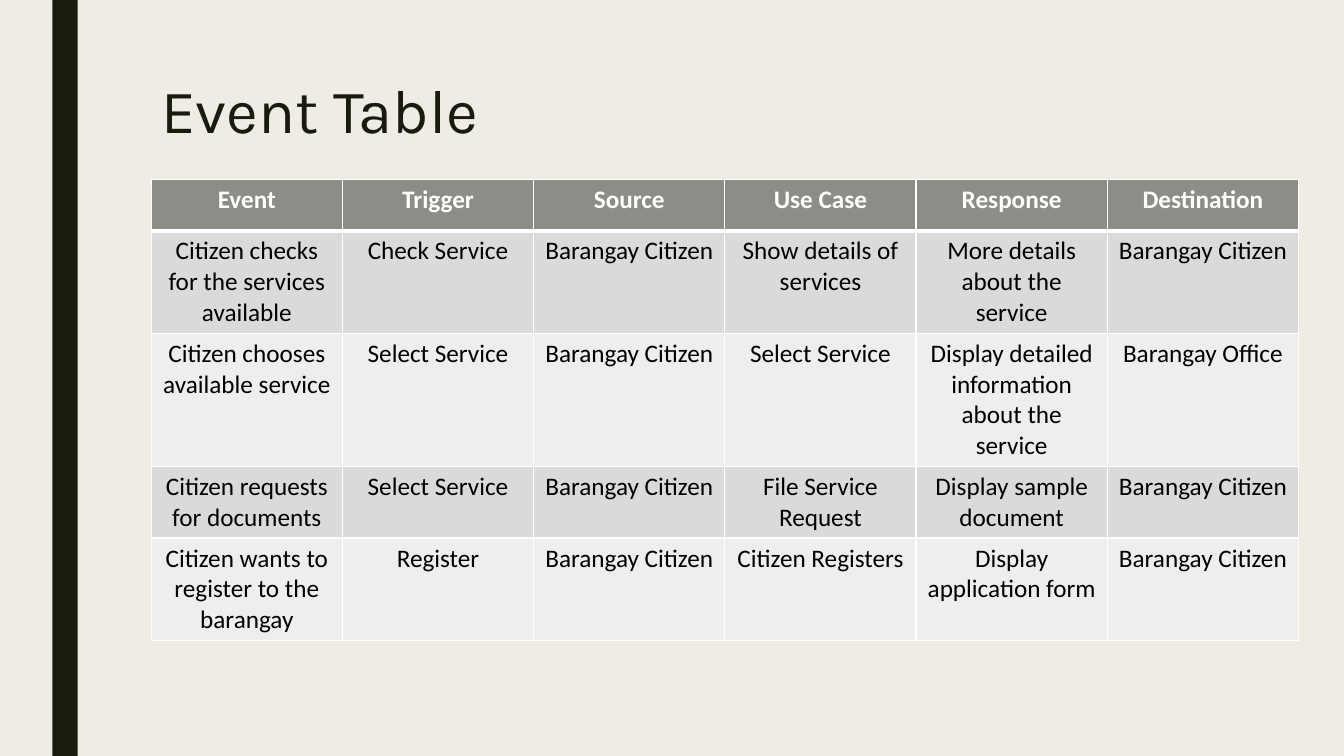
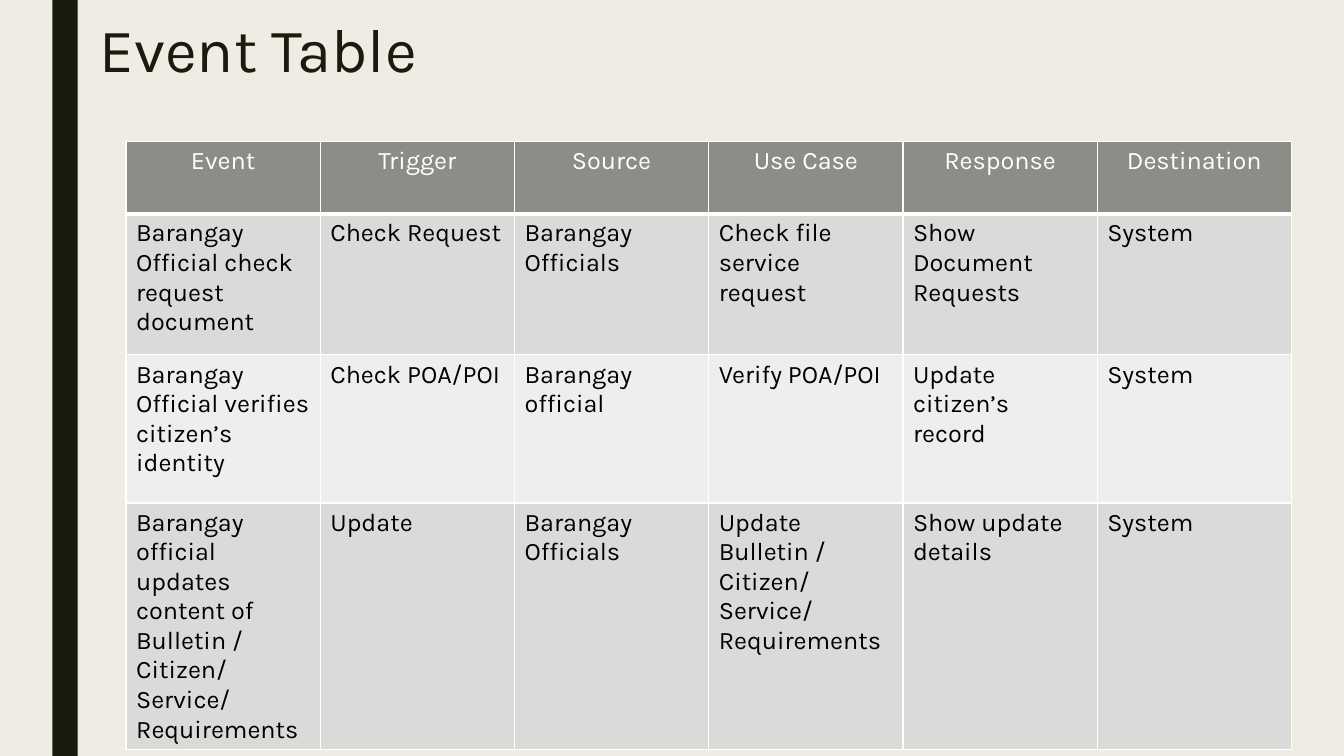
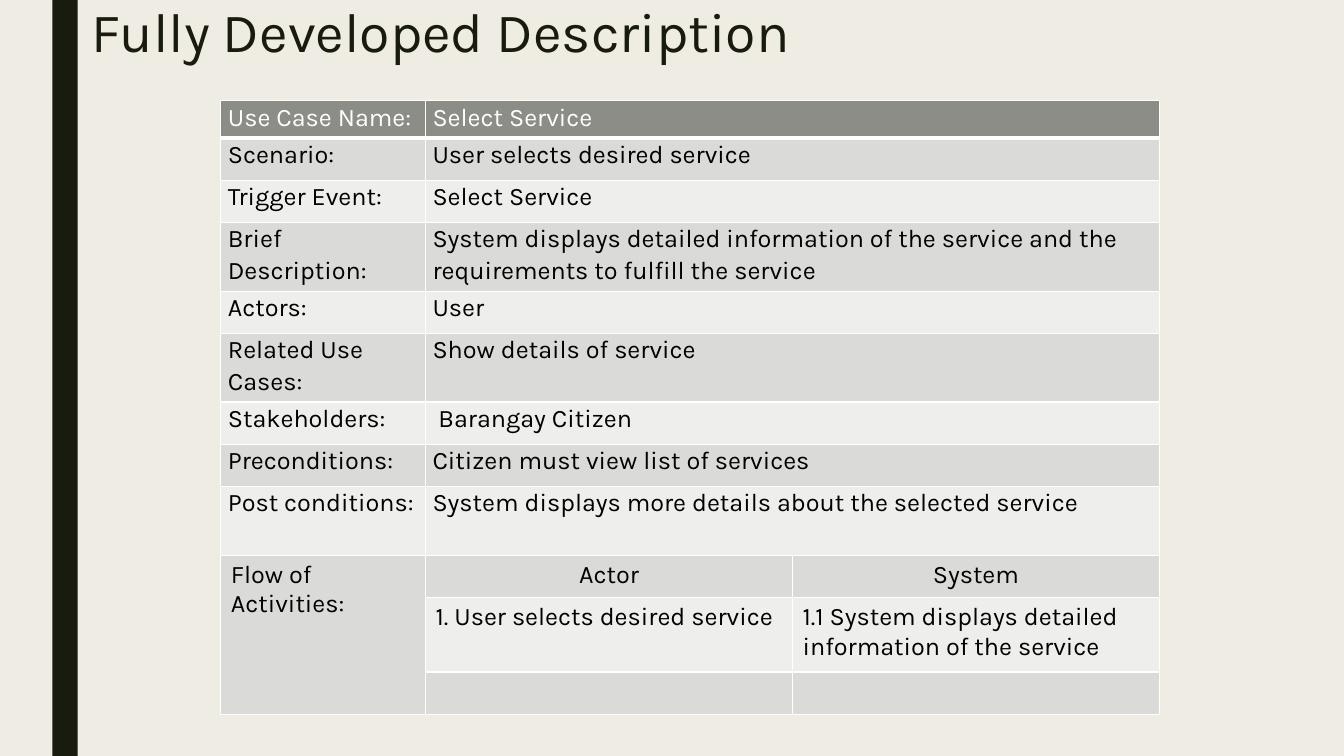
import pptx
import pptx.dml.color
import pptx.enum.shapes
import pptx.enum.text
import pptx.oxml
import pptx.oxml.ns
import pptx.util

Inches = pptx.util.Inches
Pt = pptx.util.Pt
ALIGN = pptx.enum.text.PP_ALIGN
CENTERED = {"alignment": ALIGN.CENTER}


def color(value):
    return pptx.dml.color.RGBColor.from_string(value)


def apply(target, values):
    for name, value in values.items():
        setattr(target, name, value)


class Deck:
    PAPER = "EFEDE3"
    INK = "191B0E"
    HEADER = "8C8D86"
    BANDS = ("EEEEED", "DADBD9")
    WHITE = "FFFFFF"
    BLACK = "000000"
    FONT = "Karla"

    def __init__(self):
        self.presentation = pptx.Presentation()
        apply(self.presentation, {"slide_width": Inches(13.33), "slide_height": Inches(7.5)})
        self.fill(self.presentation.slide_master.background, self.PAPER)
        self.slide = None

    def fill(self, target, value):
        target.fill.solid()
        target.fill.fore_color.rgb = color(value)

    def font(self, font, size, value, name=FONT, bold=False):
        apply(font, {"name": name, "size": Pt(size), "bold": bold})
        font.color.rgb = color(value)

    def add_slide(self, heading, box, size=44):
        self.slide = self.presentation.slides.add_slide(self.presentation.slide_layouts[5])
        self.side_band()
        title = self.slide.shapes.title
        apply(title, dict(zip(("left", "top", "width", "height"), map(Inches, box))))
        apply(title.text_frame, {
            "text": heading,
            "word_wrap": True,
            "auto_size": pptx.enum.text.MSO_AUTO_SIZE.NONE,
            "vertical_anchor": pptx.enum.text.MSO_ANCHOR.TOP,
        })
        paragraph = title.text_frame.paragraphs[0]
        apply(paragraph, {"alignment": ALIGN.LEFT, "line_spacing": 0.89})
        self.font(paragraph.runs[0].font, size, self.INK)

    def side_band(self):
        band = self.slide.shapes.add_shape(
            pptx.enum.shapes.MSO_SHAPE.RECTANGLE,
            Inches(0.52), 0, Inches(0.25), self.presentation.slide_height)
        band.shadow.inherit = False
        self.fill(band, self.INK)
        band.line.fill.background()

    def borders(self, cell, bottom):
        properties = cell._tc.get_or_add_tcPr()
        for side, width in (("L", 1), ("R", 1), ("T", 1), ("B", bottom)):
            properties.append(pptx.oxml.parse_xml(
                f'<a:ln{side} {pptx.oxml.ns.nsdecls("a")} w="{Pt(width)}"><a:solidFill>'
                f'<a:srgbClr val="{self.WHITE}"/></a:solidFill></a:ln{side}>'))

    def add_table(self, corner, widths, heights, texts, merges=(), font=FONT, bold_header=False):
        left, top = corner
        table = self.slide.shapes.add_table(
            len(heights), len(widths), Inches(left), Inches(top),
            Inches(sum(widths)), Inches(sum(heights))).table
        for column, width in zip(table.columns, widths):
            column.width = Inches(width)
        for row, height in zip(table.rows, heights):
            row.height = Inches(height)
        for first, last in merges:
            table.cell(*first).merge(table.cell(*last))
        for number, row in enumerate(texts):
            header = number == 0
            for index, text in enumerate(row):
                cell = table.cell(number, index)
                self.borders(cell, 3 if header else 1)
                self.fill(cell, self.HEADER if header else self.BANDS[number % 2])
                if not text:
                    continue
                cell.text = text
                for paragraph in cell.text_frame.paragraphs:
                    self.font(paragraph.runs[0].font, 18, self.WHITE if header else self.BLACK,
                              font, header and bold_header)
        return table

    def format_cells(self, table, rows, columns, paragraph_format, cell_format=None):
        for row in rows:
            for column in columns:
                cell = table.cell(row, column)
                apply(cell, cell_format or {})
                for paragraph in cell.text_frame.paragraphs:
                    apply(paragraph, paragraph_format)


EVENT_HEADINGS = ("Event", "Trigger", "Source", "Use Case", "Response", "Destination")

CITIZEN_EVENTS = [
    EVENT_HEADINGS,
    ("Citizen checks for the services available", "Check Service", "Barangay Citizen",
     "Show details of services", "More details about the service", "Barangay Citizen"),
    ("Citizen chooses available service", "Select Service", "Barangay Citizen",
     "Select Service", "Display detailed information about the service", "Barangay Office"),
    ("Citizen requests for documents", "Select Service", "Barangay Citizen",
     "File Service Request", "Display sample document", "Barangay Citizen"),
    ("Citizen wants to register to the barangay", "Register", "Barangay Citizen",
     "Citizen Registers", "Display application form", "Barangay Citizen"),
]

OFFICIAL_EVENTS = [
    EVENT_HEADINGS,
    ("Barangay Official check request document", "Check Request", "Barangay Officials",
     "Check file service request", "Show Document Requests", "System"),
    ("Barangay Official verifies citizen’s identity", "Check POA/POI", "Barangay official",
     "Verify POA/POI", "Update citizen’s record", "System"),
    ("Barangay official updates content of Bulletin / Citizen/ Service/\nRequirements",
     "Update", "Barangay Officials", "Update Bulletin / Citizen/ Service/\nRequirements",
     "Show update details", "System"),
]

USE_CASE = [
    ("Use Case Name:", "Select Service", ""),
    ("Scenario:", "User selects desired service", ""),
    ("Trigger Event:", "Select Service", ""),
    ("Brief Description:", "System displays detailed information of the service and the "
     "requirements to fulfill the service", ""),
    ("Actors:", "User", ""),
    ("Related Use Cases:", "Show details of service", ""),
    ("Stakeholders:", " Barangay Citizen", ""),
    ("Preconditions:", "Citizen must view list of services", ""),
    ("Post conditions:", "System displays more details about the selected service", ""),
    ("Flow of Activities:", "Actor", "System"),
    ("", "1. User selects desired service",
     "1.1 System displays detailed information of the service"),
    ("", "", ""),
]


def main():
    deck = Deck()

    deck.add_slide("Event Table", (1.5, 0.75, 10.5, 1.62))
    citizen_table = deck.add_table(
        (1.5, 1.78), [11.38 / 6] * 6, [0.51, 1.01, 1.32, 0.71, 1.01],
        CITIZEN_EVENTS, font="Calibri", bold_header=True)
    deck.format_cells(citizen_table, range(5), range(6), CENTERED)

    deck.add_slide("Event Table", (0.89, 0.15, 10.49, 0.98))
    official_table = deck.add_table(
        (1.25, 1.4), [11.56 / 6] * 6, [0.72, 1.4, 1.47, 2.45], OFFICIAL_EVENTS)
    deck.format_cells(official_table, [0], range(6), CENTERED)

    deck.add_slide("Fully Developed Description", (0.81, 0, 10.5, 0.75), 39.6)
    flow_row = 9
    detail_rows = range(flow_row)
    merges = [((row, 1), (row, 2)) for row in detail_rows]
    merges.append(((flow_row, 0), (flow_row + 2, 0)))
    use_case_table = deck.add_table(
        (2.19, 1), [2.03, 3.64, 3.64],
        [0.37, 0.42, 0.42, 0.68, 0.42, 0.68, 0.42, 0.42, 0.68, 0.42, 0.74, 0.42],
        USE_CASE, merges)
    deck.format_cells(
        use_case_table, detail_rows, (0, 1), {"line_spacing": 1.07},
        {"margin_left": Inches(0.07), "margin_right": Inches(0.07),
         "margin_top": 0, "margin_bottom": 0})
    deck.format_cells(use_case_table, [flow_row], (1, 2), CENTERED)

    deck.presentation.save("out.pptx")


if __name__ == "__main__":
    main()
